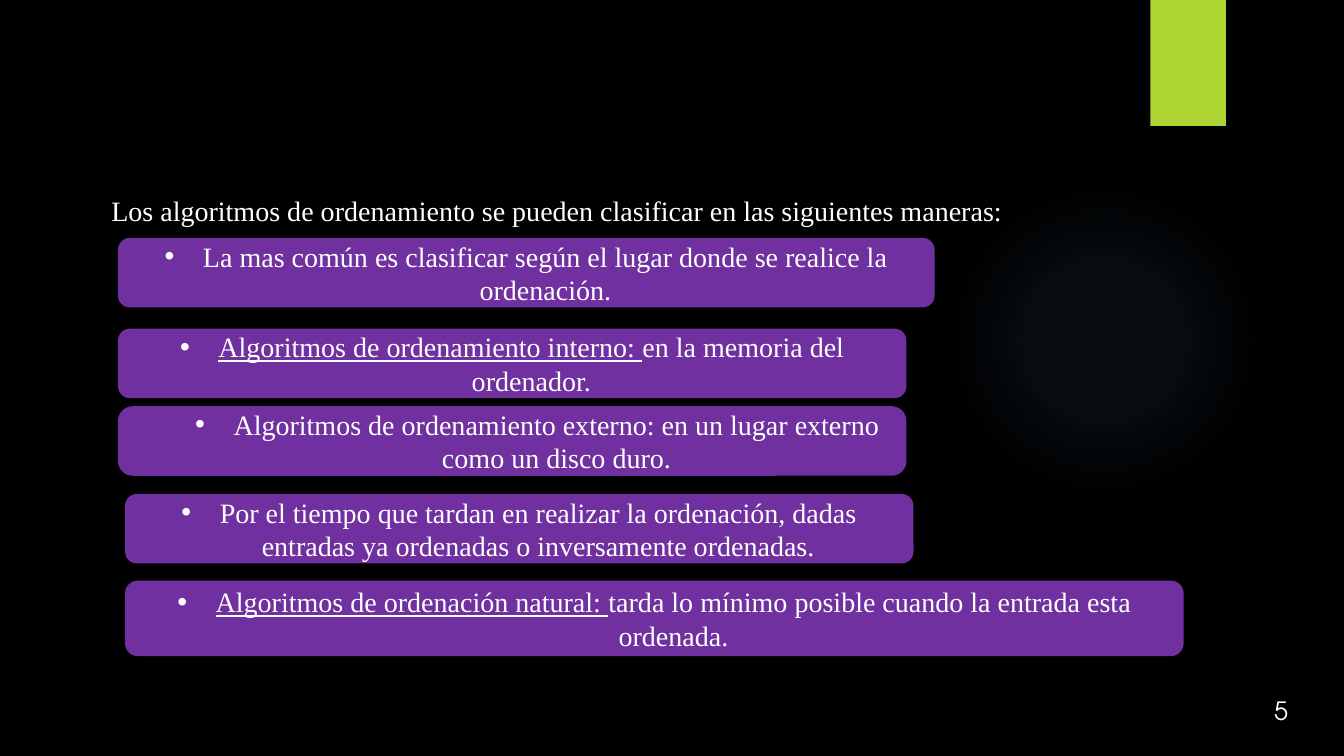
from dataclasses import dataclass

from lxml.etree import SubElement
from pptx import Presentation
from pptx.dml.color import RGBColor
from pptx.enum.shapes import MSO_SHAPE
from pptx.enum.text import MSO_ANCHOR, MSO_AUTO_SIZE, PP_ALIGN
from pptx.oxml import parse_xml
from pptx.oxml.ns import nsdecls, qn
from pptx.shapes.autoshape import Shape
from pptx.slide import Slide
from pptx.text.text import TextFrame
from pptx.util import Inches, Pt

BLACK = RGBColor(0x00, 0x00, 0x00)
WHITE = RGBColor(0xFF, 0xFF, 0xFF)
PURPLE = RGBColor(0x70, 0x30, 0xA0)
GREEN = RGBColor(0xAC, 0xD4, 0x33)
GLOW = RGBColor(0x7A, 0xC4, 0xF0)

CELL = Inches(0.1)
SERIF = "Times New Roman"
SANS = "TeX Gyre Adventor"
HANGING = Inches(0.38)
LEVEL_STEP = Inches(0.5)


@dataclass(frozen=True)
class Area:
    """A rectangle measured in grid columns and rows."""

    column: float
    row: float
    columns: float
    rows: float

    def lengths(self) -> tuple[int, int, int, int]:
        """Return left, top, width and height as slide lengths."""
        cells = (self.column, self.row, self.columns, self.rows)
        return tuple(round(count * CELL) for count in cells)


@dataclass(frozen=True)
class Category:
    """A purple box with an optional underlined lead and a text."""

    area: Area
    text: str
    lead: str = ""
    level: int = 0
    corner: float = 0.17


CATEGORIES = (
    Category(
        Area(11.7, 23.6, 81, 6.9),
        "La mas común es clasificar según el lugar donde se realice la ordenación.",
    ),
    Category(
        Area(11.7, 32.6, 78.2, 6.9),
        "en la memoria del ordenador.",
        lead="Algoritmos de ordenamiento interno: ",
    ),
    Category(
        Area(11.7, 40.3, 78.2, 6.9),
        "Algoritmos de ordenamiento externo: en un lugar externo como un disco duro.",
        level=1,
        corner=0.21,
    ),
    Category(
        Area(12.4, 49, 78.2, 6.9),
        "Por el tiempo que tardan en realizar la ordenación, dadas entradas ya "
        "ordenadas o inversamente ordenadas.",
    ),
    Category(
        Area(12.4, 57.6, 105, 7.5),
        "tarda lo mínimo posible cuando la entrada esta ordenada.",
        lead="Algoritmos de ordenación natural: ",
    ),
)


def add_plain_shape(slide: Slide, kind: MSO_SHAPE, area: Area, color: RGBColor) -> Shape:
    """Add a filled shape without line or shadow."""
    shape = slide.shapes.add_shape(kind, *area.lengths())
    shape.shadow.inherit = False
    shape.fill.solid()
    shape.fill.fore_color.rgb = color
    shape.line.fill.background()
    return shape


def format_text(text_frame: TextFrame, font_name: str, size: int) -> None:
    """Centre the text and set its font."""
    text_frame.word_wrap = True
    text_frame.auto_size = MSO_AUTO_SIZE.NONE
    text_frame.vertical_anchor = MSO_ANCHOR.MIDDLE
    for paragraph in text_frame.paragraphs:
        paragraph.alignment = PP_ALIGN.CENTER
        paragraph.font.name = font_name
        paragraph.font.size = Pt(size)
        paragraph.font.color.rgb = WHITE


def add_glow(slide: Slide, area: Area) -> None:
    """Add a faint ellipse that fades towards its edge."""
    ellipse = add_plain_shape(slide, MSO_SHAPE.OVAL, area, GLOW)
    stops = "".join(
        f'<a:gs pos="{position}000"><a:srgbClr val="{GLOW}">'
        f'<a:alpha val="{alpha}000"/></a:srgbClr></a:gs>'
        for position, alpha in ((0, 7), (36, 6), (69, 0))
    )
    gradient = parse_xml(
        f'<a:gradFill {nsdecls("a")} rotWithShape="1"><a:gsLst>{stops}</a:gsLst>'
        '<a:path path="circle">'
        '<a:fillToRect l="50000" t="50000" r="50000" b="50000"/>'
        "</a:path></a:gradFill>"
    )
    properties = ellipse.element.spPr
    properties.replace(properties.find(qn("a:solidFill")), gradient)


def add_ribbon(slide: Slide, area: Area) -> None:
    """Add the green ribbon with its soft shadow."""
    ribbon = add_plain_shape(slide, MSO_SHAPE.RECTANGLE, area, GREEN)
    effects = ribbon.element.spPr.find(qn("a:effectLst"))
    effects.append(
        parse_xml(
            f'<a:outerShdw {nsdecls("a")} blurRad="{Pt(3)}" dist="{Pt(2)}" '
            f'dir="5400000" rotWithShape="0"><a:srgbClr val="{BLACK}">'
            '<a:alpha val="45000"/></a:srgbClr></a:outerShdw>'
        )
    )


def add_category(slide: Slide, category: Category) -> None:
    """Add one rounded box with its bulleted text."""
    box = add_plain_shape(slide, MSO_SHAPE.ROUNDED_RECTANGLE, category.area, PURPLE)
    box.adjustments[0] = category.corner
    paragraph = box.text_frame.paragraphs[0]
    if category.lead:
        lead = paragraph.add_run()
        lead.text = category.lead
        lead.font.underline = True
    paragraph.add_run().text = category.text
    paragraph.level = category.level
    format_text(box.text_frame, SERIF, 20)
    properties = paragraph._p.get_or_add_pPr()
    properties.set("marL", str(HANGING + category.level * LEVEL_STEP))
    properties.set("indent", str(-HANGING))
    bullet_font = SubElement(properties, qn("a:buFont"), typeface="Arial")
    bullet = SubElement(properties, qn("a:buChar"), char="•")
    properties.insert(0, bullet_font)
    properties.insert(1, bullet)


def main() -> None:
    """Build and save the slide."""
    presentation = Presentation()
    presentation.slide_width = Inches(13.33)
    presentation.slide_height = Inches(7.5)
    slide = presentation.slides.add_slide(presentation.slide_layouts[5])
    slide.background.fill.solid()
    slide.background.fill.fore_color.rgb = BLACK

    add_glow(slide, Area(94.1, 18.3, 30.8, 30.8))
    add_ribbon(slide, Area(114.1, 0, 7.5, 12.5))

    title = slide.shapes.title
    title.left, title.top, title.width, title.height = Area(1, 14.1, 108.5, 13.5).lengths()
    title.text_frame.text = (
        "Los algoritmos de ordenamiento se pueden clasificar en las siguientes maneras:"
    )
    format_text(title.text_frame, SERIF, 20)

    for category in CATEGORIES:
        add_category(slide, category)

    page_number = slide.shapes.add_textbox(*Area(123, 68.1, 8.1, 4.8).lengths())
    page_number.text_frame.text = "5"
    format_text(page_number.text_frame, SANS, 18)
    presentation.save("out.pptx")


if __name__ == "__main__":
    main()
